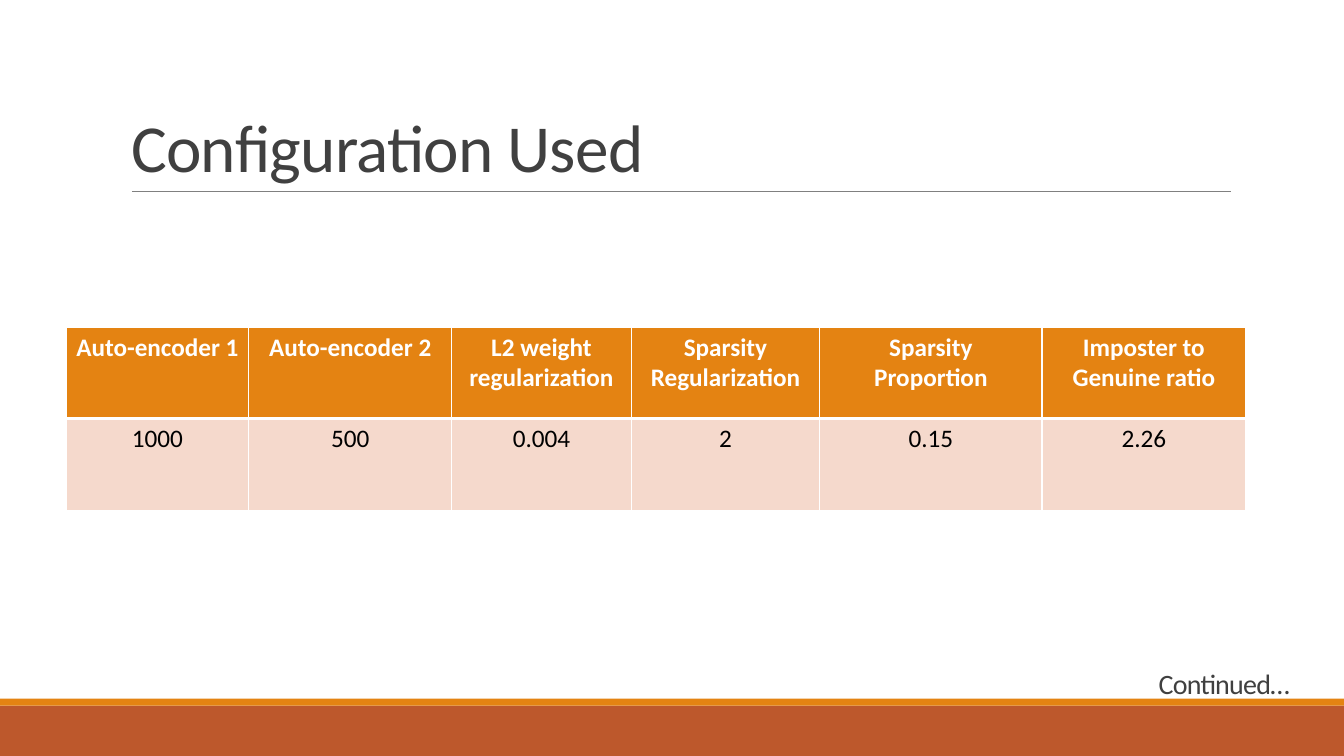
import pptx
import pptx.dml.color
import pptx.enum.shapes
import pptx.enum.text
import pptx.oxml
import pptx.oxml.ns
import pptx.util
from dataclasses import dataclass

Pt = pptx.util.Pt
RGB = pptx.dml.color.RGBColor.from_string


@dataclass(frozen=True)
class Theme:
    font: str = "Calibri"
    orange: str = "E48312"
    rust: str = "BD582C"
    pale: str = "F5D9CC"
    text: str = "404040"
    rule: str = "808080"
    white: str = "FFFFFF"
    black: str = "000000"
    title_size: int = 48
    note_size: int = 20
    table_size: int = 18


theme = Theme()


def write_heading(shape, text, size, anchor):
    """Fill a shape with one tight, slightly condensed line of dark text."""
    frame = shape.text_frame
    frame.text = text
    frame.word_wrap = True
    frame.auto_size = pptx.enum.text.MSO_AUTO_SIZE.NONE
    frame.vertical_anchor = anchor
    paragraph = frame.paragraphs[0]
    paragraph.alignment = pptx.enum.text.PP_ALIGN.LEFT
    paragraph.line_spacing = 0.85
    paragraph.font.name = theme.font
    paragraph.font.size = Pt(size)
    paragraph.font.color.rgb = RGB(theme.text)
    paragraph.runs[0].font._element.set("spc", "-50")


def add_border(cell, side, width):
    border = pptx.oxml.parse_xml(
        f'<a:ln{side} {pptx.oxml.ns.nsdecls("a")} w="{Pt(width)}"><a:solidFill>'
        f'<a:srgbClr val="{theme.white}"/></a:solidFill></a:ln{side}>'
    )
    cell._tc.get_or_add_tcPr().append(border)


presentation = pptx.Presentation()
presentation.slide_width = Pt(960)
presentation.slide_height = Pt(540)
slide = presentation.slides.add_slide(presentation.slide_layouts[5])

# Footer bands
for top, height, color in [(504, 36, theme.rust), (499, 5, theme.orange)]:
    band = slide.shapes.add_shape(
        pptx.enum.shapes.MSO_SHAPE.RECTANGLE, 0, Pt(top), Pt(960), Pt(height)
    )
    band.shadow.inherit = False
    band.fill.solid()
    band.fill.fore_color.rgb = RGB(color)
    band.line.fill.background()

# Title with its rule
title = slide.shapes.title
title.left, title.top, title.width, title.height = Pt(86.4), Pt(22.5), Pt(792), Pt(114.2)
write_heading(title, "Configuration Used", theme.title_size, pptx.enum.text.MSO_ANCHOR.BOTTOM)

title_rule = slide.shapes.add_connector(
    pptx.enum.shapes.MSO_CONNECTOR.STRAIGHT, Pt(94.3), Pt(136.7), Pt(879), Pt(136.7)
)
title_rule.line.color.rgb = RGB(theme.rule)
title_rule.line.width = Pt(0.5)
title_rule._element.spPr.append(
    pptx.oxml.parse_xml(f'<a:effectLst {pptx.oxml.ns.nsdecls("a")}/>')
)

continued = slide.shapes.add_textbox(Pt(820.5), Pt(476.5), Pt(139.5), Pt(28))
write_heading(continued, "Continued…", theme.note_size, pptx.enum.text.MSO_ANCHOR.TOP)

# Configuration table
settings = [
    ("Auto-encoder 1", "1000", 130.7),
    ("Auto-encoder 2", "500", 144.8),
    ("L2 weight regularization", "0.004", 128.4),
    ("Sparsity Regularization", "2", 134.6),
    ("Sparsity Proportion", "0.15", 158.8),
    ("Imposter to Genuine ratio", "2.26", 145.5),
]
row_height = 65.4
table = slide.shapes.add_table(
    2, len(settings), Pt(47.1), Pt(233.6),
    Pt(sum(width for _, _, width in settings)), Pt(2 * row_height),
).table
for row in table.rows:
    row.height = Pt(row_height)

for column, (name, value, width) in enumerate(settings):
    table.columns[column].width = Pt(width)
    for row, (text, fill, color) in enumerate(
        [(name, theme.orange, theme.white), (value, theme.pale, theme.black)]
    ):
        is_header = row == 0
        cell = table.cell(row, column)
        cell.text = text
        for side in "LRTB":
            at_header_edge = side == ("B" if is_header else "T")
            add_border(cell, side, 3 if at_header_edge else 1)
        cell.fill.solid()
        cell.fill.fore_color.rgb = RGB(fill)
        paragraph = cell.text_frame.paragraphs[0]
        paragraph.alignment = pptx.enum.text.PP_ALIGN.CENTER
        paragraph.font.name = theme.font
        paragraph.font.size = Pt(theme.table_size)
        paragraph.font.bold = is_header
        paragraph.font.color.rgb = RGB(color)

presentation.save("out.pptx")
